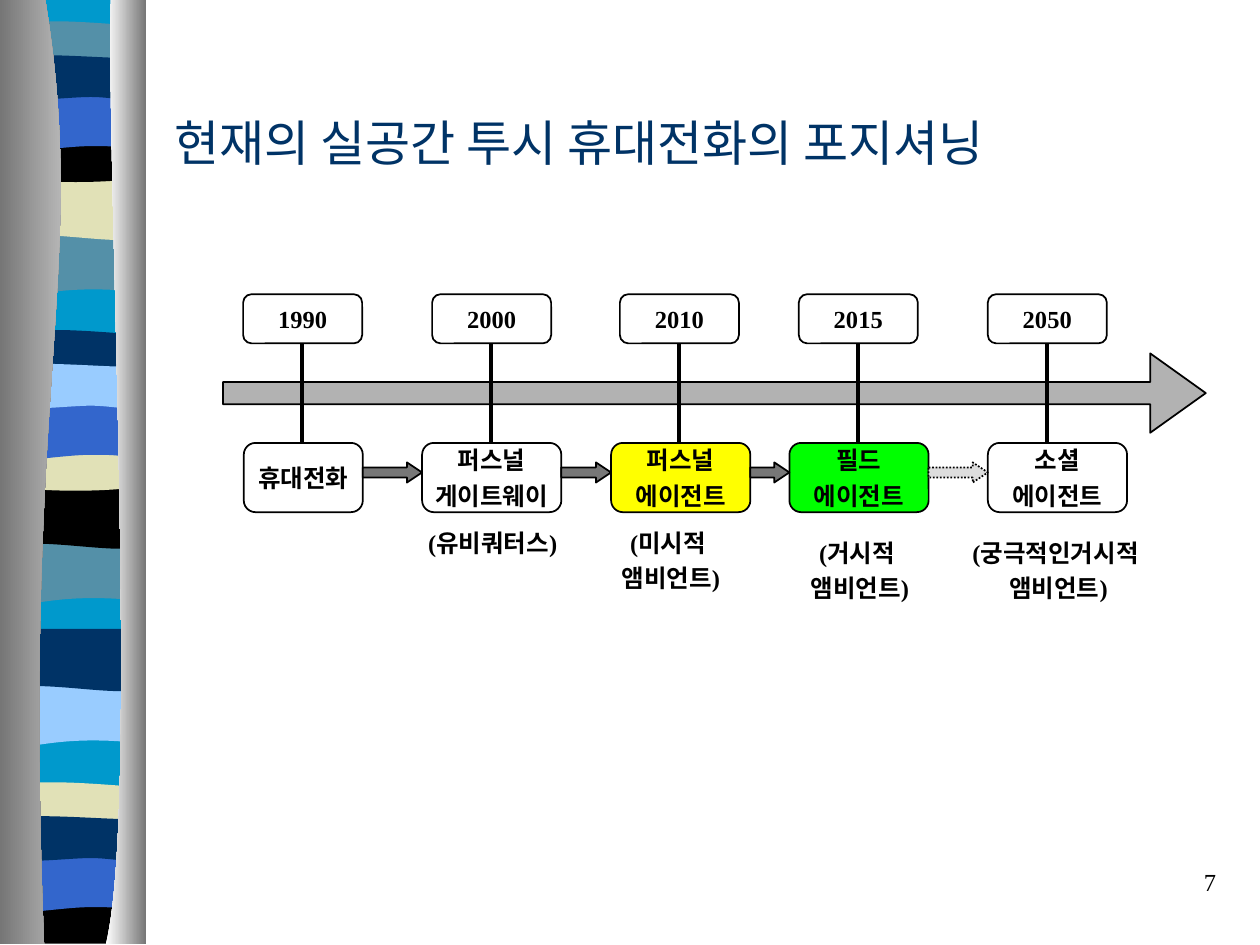
"""Build a timeline slide that positions the see-through mobile phone."""
import pptx
import pptx.util
import pptx.dml.color
import pptx.enum.dml
import pptx.enum.shapes
import pptx.enum.text
import pptx.oxml
import pptx.oxml.ns

RGB = pptx.dml.color.RGBColor
BLACK, WHITE = RGB(0, 0, 0), RGB(255, 255, 255)
NAVY, BLUE, CYAN = RGB(0, 0x33, 0x66), RGB(0x33, 0x66, 0xCC), RGB(0, 0x99, 0xCC)
STEEL, SKY, SAND = RGB(0x54, 0x90, 0xA8), RGB(0x99, 0xCC, 0xFF), RGB(0xE1, 0xE1, 0xB7)
YELLOW, GREEN = RGB(255, 255, 0), RGB(0, 255, 0)
SILVER, GRAY = RGB(0xB2, 0xB2, 0xB2), RGB(0x77, 0x77, 0x77)
PALE, DARK, LIGHT = RGB(0xDD, 0xDD, 0xDD), RGB(0x76, 0x76, 0x76), RGB(0xD4, 0xD4, 0xD4)
LATIN, KOREAN = "Times New Roman", "Noto Sans CJK KR"
CENTER = pptx.enum.text.PP_ALIGN.CENTER
MIDDLE = pptx.enum.text.MSO_ANCHOR.MIDDLE
SHAPE = pptx.enum.shapes.MSO_SHAPE
CELL = pptx.util.Inches(0.1)
NS = pptx.oxml.ns.nsdecls("a")

prs = pptx.Presentation()
prs.slide_width, prs.slide_height = CELL * 100, CELL * 75
s = prs.slides.add_slide(prs.slide_layouts[5])


def grid(*cells):
    return [int(CELL * c) for c in cells]


def write(sp, lines, name, align=CENTER, anchor=MIDDLE, wrap=False, **font):
    tf = sp.text_frame
    tf.text = "\n".join(lines)
    for key, value in {"word_wrap": wrap, "vertical_anchor": anchor}.items():
        setattr(tf, key, value)
    for i, p in enumerate(tf.paragraphs):
        p.alignment = align
        if i:
            p.space_before = pptx.util.Pt(3.5)
        r = p.runs[0]
        r.font.color.rgb = font.get("color", BLACK)
        for key, value in {"name": name, "size": pptx.util.Pt(font.get("size", 14)),
                           "bold": font.get("bold", True)}.items():
            setattr(r.font, key, value)
        ea = pptx.oxml.parse_xml('<a:ea %s typeface="%s"/>' % (NS, KOREAN))
        r.font._element.find(pptx.oxml.ns.qn("a:latin")).addnext(ea)


wave = [(1.14, 1.85), (1.14, 2.32), (0.39, 2.24, 0.24, 2.4, 0.06, 2.32), (0.06, 1.85)]
swell = [(1.14, 1.41), (1.14, 1.88), (0.96, 1.96, 0.39, 1.82, 0.06, 1.88), (0.06, 1.41)]
strip = [(1.14, 0.21), (1.14, 0.45), (0.96, 0.49, 0.24, 0.49, 0.06, 0.45), (0.06, 0.21),
         (0.12, 0.16, 0.29, 0.17, 0.47, 0.17), (0.65, 0.17, 1, 0.2, 1.14, 0.21)]
bowl = [(1.14, 1.08), (1.14, 1.4), (0.96, 1.46, 0.24, 1.46, 0.06, 1.4), (0.06, 1.08),
        (0.72, 1.13, 0.91, 1.08, 1.14, 1.08)]
arch = [(1.14, 0.74), (1.14, 1.21), (0.97, 1.16, 0.9, 1.16, 0.72, 1.16),
        (0.54, 1.16, 0.22, 1.21, 0.06, 1.21), (0.06, 0.74)]
flag = [(1.14, 0.46), (1.14, 0.77), (1.07, 0.82, 0.9, 0.77, 0.72, 0.77),
        (0.54, 0.77, 0.17, 0.82, 0.06, 0.77), (0.06, 0.46), (0.21, 0.41, 0.79, 0.46, 0.97, 0.46)]
base = [(1.14, 7.12), (1.14, 7.49), (0.06, 7.49), (0.06, 7.12),
        (0.72, 7.17, 0.91, 7.12, 1.14, 7.12)]
back = [(1.14, 0), (1.14, 7.47), (0.06, 7.47), (0.06, 0)]
left_pillar = [(0.36, 0), (0.71, 2.16, 0.17, 2.96, 0.35, 7.49), (0, 7.49), (0, 0)]
right_pillar = [(0.88, 0), (0.84, 1.25, 1.11, 6.46, 0.84, 7.49), (1.16, 7.49), (1.16, 0)]
outlines = [
    (back, 0, [CYAN]),
    (wave, 0, [STEEL]), (swell, 0, [SAND]), (strip, 0, [STEEL]),
    (bowl, 0, [BLACK]), (arch, 0, [BLUE]), (flag, 0, [NAVY]),
    (wave, 2.45, [STEEL]), (swell, 2.45, [BLACK]), (strip, 2.45, [NAVY]),
    (bowl, 2.45, [SAND]), (arch, 2.45, [BLUE]), (flag, 2.45, [SKY]),
    (wave, 3.58, [SKY]), (swell, 3.58, [NAVY]), (strip, 6.04, [SAND]),
    (base, 0, [BLACK]), (arch, 6.04, [BLUE]), (flag, 6.04, [NAVY]),
    (left_pillar, 0, [DARK, LIGHT]), (right_pillar, 0, [WHITE, DARK])]
ribbon = s.shapes.add_group_shape()
for outline, shift, colors in outlines:
    points = [(step[i] * 1000, (step[i + 1] + shift) * 1000)
              for step in outline for i in range(0, len(step), 2)]
    fb = ribbon.shapes.build_freeform(*points[0], scale=914.4)
    fb.add_line_segments(points[1:])
    sp = fb.convert_to_shape()
    segments = list(sp._element.iter(pptx.oxml.ns.qn("a:lnTo")))
    for step in outline[1:]:
        taken, segments = segments[:len(step) // 2], segments[len(step) // 2:]
        if len(taken) == 3:
            curve = pptx.oxml.parse_xml("<a:cubicBezTo %s/>" % NS)
            taken[0].addprevious(curve)
            for segment in taken:
                curve.append(segment[0])
                segment.getparent().remove(segment)
    sp.shadow.inherit = False
    sp.line.fill.background()
    if len(colors) == 1:
        sp.fill.solid()
        sp.fill.fore_color.rgb = colors[0]
    else:
        sp.fill.gradient()
        sp.fill.gradient_angle = 0
        for stop, color in zip(sp.fill.gradient_stops, colors):
            stop.color.rgb = color
prs.slide_master.shapes._spTree.insert(2, ribbon._element)

title = s.shapes.title
title.left, title.top, title.width, title.height = grid(12.85, 5, 85, 12.5)
write(title, ["현재의 실공간 투시 휴대전화의 포지셔닝"], KOREAN, pptx.enum.text.PP_ALIGN.LEFT,
      wrap=True, size=28, bold=False, color=NAVY)
number = s.shapes.add_textbox(*grid(76.7, 68.3, 20.8, 5))
write(number, ["7"], LATIN, pptx.enum.text.PP_ALIGN.RIGHT,
      pptx.enum.text.MSO_ANCHOR.TOP, True, bold=False)

stages = [
    (19.35, 9.45, "1990", ["휴대전화"], WHITE),
    (33.5, 11.05, "2000", ["퍼스널", "게이트웨이"], WHITE),
    (48.5, 11.05, "2010", ["퍼스널", "에이전트"], YELLOW),
    (62.65, 11.05, "2015", ["필드", "에이전트"], GREEN),
    (78.4, 11.05, "2050", ["소셜", "에이전트"], WHITE)]
centers = [24, 39, 53.9, 68.1, 83.1]
items = [(SHAPE.RIGHT_ARROW, (17.7, 28.05, 78, 6.3), SILVER, [], LATIN, (0.28, 0.7))]
for center, (x, w, year, name, color) in zip(centers, stages):
    items.append((SHAPE.ROUNDED_RECTANGLE, (center - 4.7, 23.35, 9.45, 3.9), WHITE, [year], LATIN, (0.17,)))
    items.append((SHAPE.ROUNDED_RECTANGLE, (x, 35.15, w, 5.5), color, name, KOREAN, (0.17,)))
for (x, w, *_), (following, *_) in zip(stages, stages[1:]):
    gap = following - x - w
    color = PALE if following == stages[-1][0] else GRAY
    items.append((SHAPE.RIGHT_ARROW, (x + w, 36.7, gap, 1.6), color, [], LATIN, (0.5, 0.75)))
for kind, cells, color, lines, font, adjust in items:
    sp = s.shapes.add_shape(kind, *grid(*cells))
    sp.shadow.inherit = False
    sp.fill.solid()
    sp.fill.fore_color.rgb = color
    sp.line.color.rgb = BLACK
    sp.line.width = pptx.util.Pt(1)
    for i, value in enumerate(adjust):
        sp.adjustments[i] = value
    if color == PALE:
        sp.line.dash_style = pptx.enum.dml.MSO_LINE.ROUND_DOT
    if lines:
        write(sp, lines, font)

for center in centers:
    line = s.shapes.add_connector(pptx.enum.shapes.MSO_CONNECTOR.STRAIGHT,
                                  *grid(center, 27.3, center, 35.1))
    line.line.color.rgb = BLACK
    line.line.width = pptx.util.Pt(2.25)
    line._element.spPr.append(pptx.oxml.parse_xml("<a:effectLst %s/>" % NS))

captions = [
    (32.5, 41.4, 13.2, 3.4, ["(유비쿼터스)"]),
    (48.1, 41.4, 10.3, 6.2, ["(미시적 ", "앰비언트)"]),
    (63.1, 42.2, 10.3, 6.2, ["(거시적 ", "앰비언트)"]),
    (75.9, 42.2, 16.2, 6.2, ["(궁극적인거시적 ", "앰비언트)"])]
for *cells, lines in captions:
    write(s.shapes.add_textbox(*grid(*cells)), lines, LATIN, anchor=pptx.enum.text.MSO_ANCHOR.TOP)

prs.save("out.pptx")
